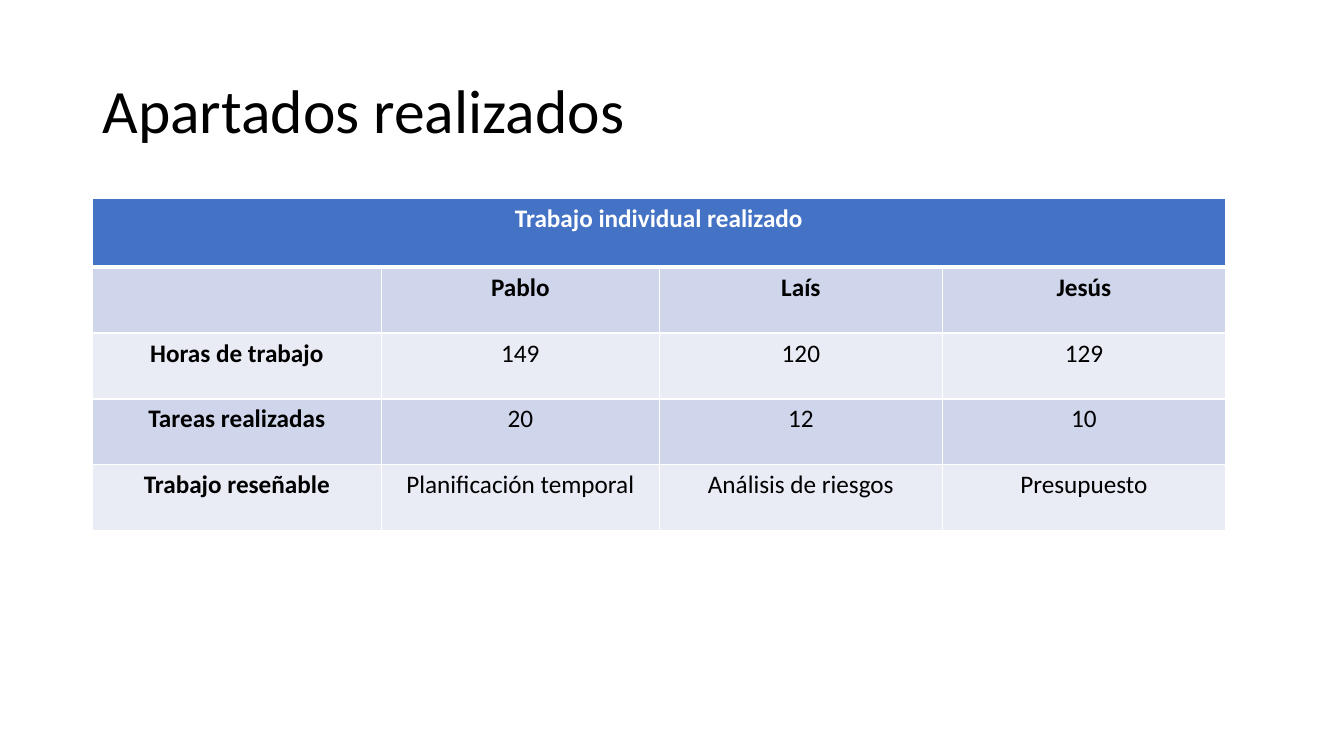
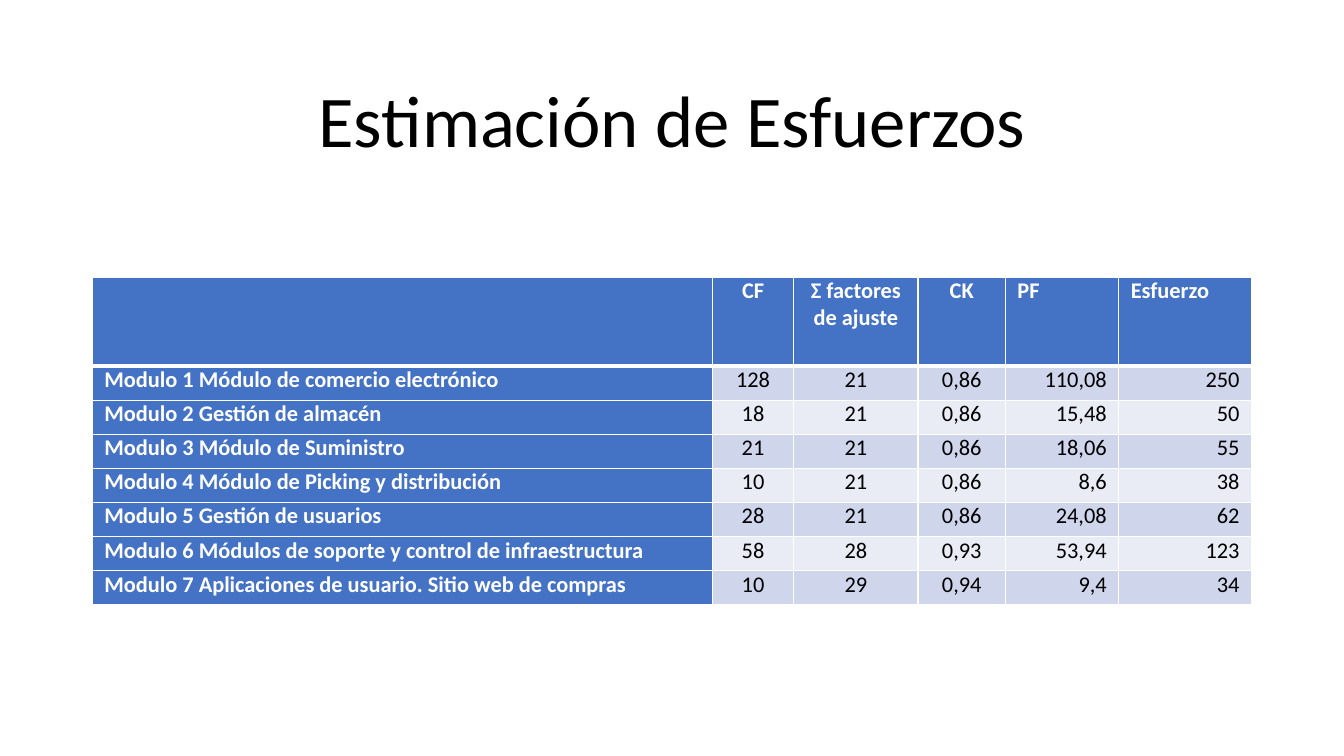
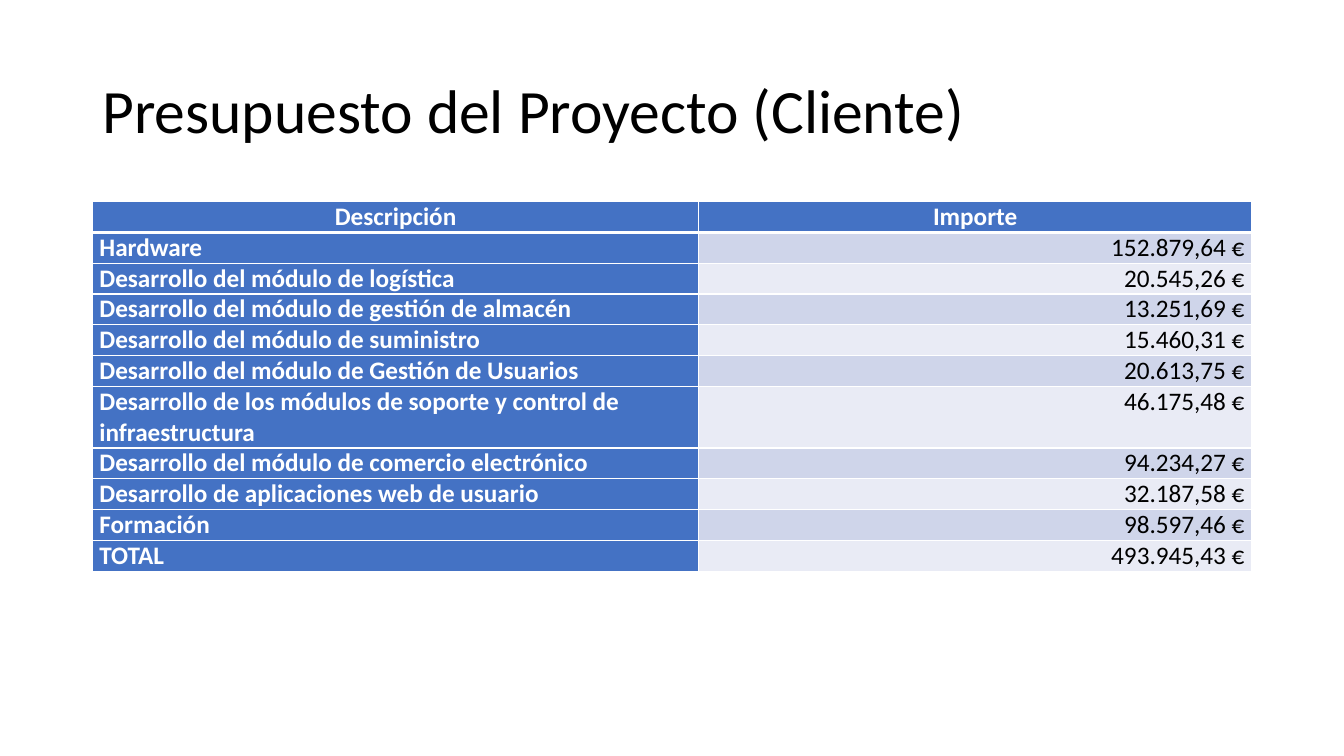
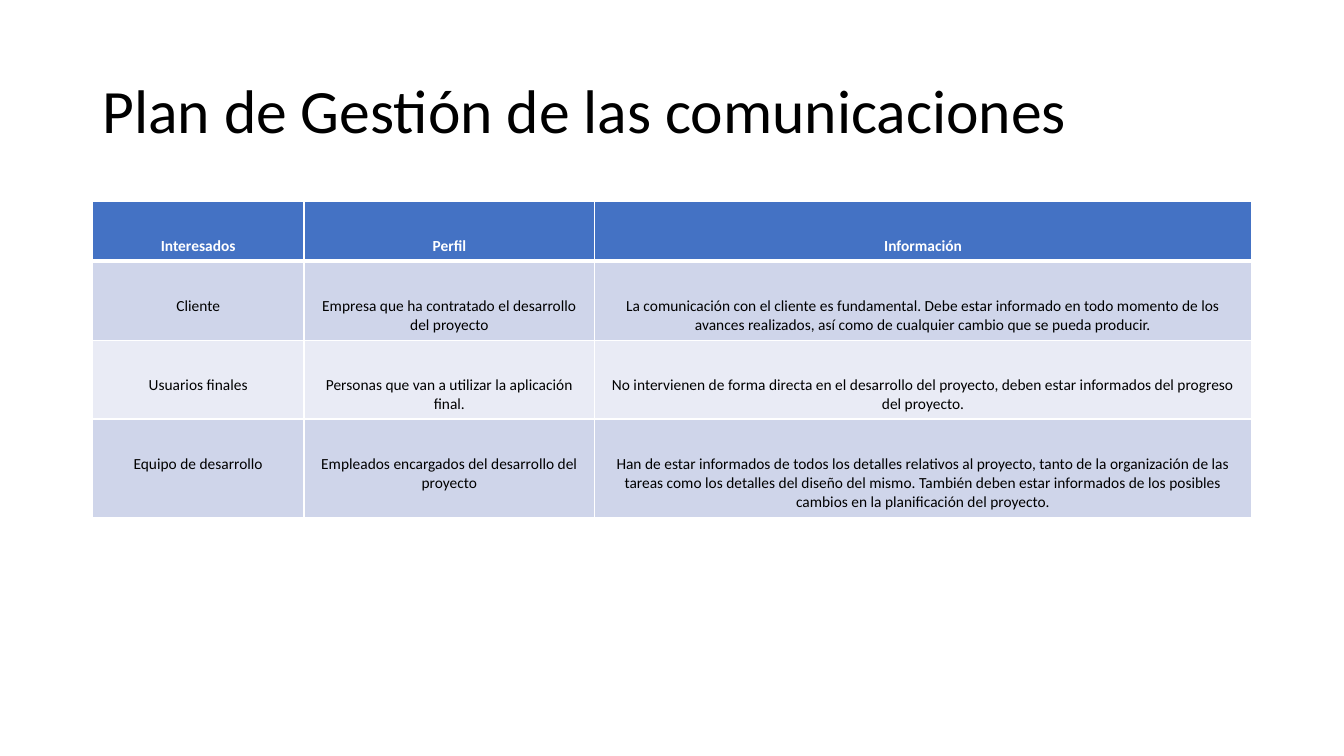
from dataclasses import dataclass

from lxml import etree
from pptx import Presentation
from pptx.dml.color import RGBColor
from pptx.enum import text
from pptx.oxml import ns
from pptx.util import Emu, Inches, Pt

# Shared style: a grid of 160 columns by 90 rows, twelve to the inch
COLS, ROWS = 160, 90
UNIT = Inches(1) / 12
LEFT, WIDE = 11, 138
FONT = "Calibri"
HUES = {"head": "4472C4", "odd": "CFD5EA", "even": "E9EBF5",
        "white": "FFFFFF", "black": "000000"}
ALIGN = {"l": text.PP_ALIGN.LEFT, "c": text.PP_ALIGN.CENTER,
         "r": text.PP_ALIGN.RIGHT}


@dataclass
class Title:
    words: str
    top: float = 4.8
    high: float = 17.4
    size: int = 44
    align: str = "l"


@dataclass
class Grid:
    top: float
    cols: list[float]
    rows: list[float]
    cells: list[list[str]]
    heads: str               # alignment of each header cell
    body: str                # alignment of each body column
    size: int
    side: str                # first column: "head", "bold" or "plain"
    pad: tuple[float, float, float] = (0.1, 0.05, 0.05)  # sides, top, bottom
    bold: int = 1            # rows in bold at the top
    span: bool = False       # header runs over all columns


def span(n: float) -> Emu:
    return Emu(round(n * UNIT))


def hue(name: str) -> RGBColor:
    return RGBColor.from_string(HUES[name])


def edge(cell, side: str, width: float) -> None:
    line = etree.SubElement(cell._tc.get_or_add_tcPr(), ns.qn(f"a:ln{side}"),
                            w=str(Pt(width)))
    fill = etree.SubElement(line, ns.qn("a:solidFill"))
    etree.SubElement(fill, ns.qn("a:srgbClr"), val=HUES["white"])


def style(run, size: int, color: str, bold: bool = False) -> None:
    font = run.font
    font.name, font.size, font.bold = FONT, Pt(size), bold
    font.color.rgb = hue(color)


def draw_title(slide, title: Title) -> None:
    box = slide.shapes.title
    box.left, box.top = span(LEFT), span(title.top)
    box.width, box.height = span(WIDE), span(title.high)
    frame = box.text_frame
    frame.text = title.words
    frame.vertical_anchor = text.MSO_ANCHOR.MIDDLE
    para = frame.paragraphs[0]
    para.alignment, para.line_spacing = ALIGN[title.align], 0.9
    style(para.runs[0], title.size, "black")


def draw_cell(cell, grid: Grid, row: int, col: int) -> None:
    # Borders come before the fill
    for side in "LRTB":
        thick = (row, side) in ((0, "B"), (1, "T"))
        edge(cell, side, 3 if thick else 1)
    blue = row == 0 or (col == 0 and grid.side == "head")
    cell.fill.solid()
    cell.fill.fore_color.rgb = hue(
        "head" if blue else "odd" if row % 2 else "even")

    side, top, bottom = grid.pad
    cell.margin_left = cell.margin_right = Inches(side)
    cell.margin_top, cell.margin_bottom = Inches(top), Inches(bottom)
    cell.text_frame.text = grid.cells[row][col]
    para = cell.text_frame.paragraphs[0]
    para.alignment = ALIGN[(grid.body if row else grid.heads)[col]]
    bold = row < grid.bold or (col == 0 and grid.side != "plain")
    for run in para.runs:
        style(run, grid.size, "white" if blue else "black", bold)


def draw_grid(slide, grid: Grid) -> None:
    table = slide.shapes.add_table(
        len(grid.rows), len(grid.cols), span(LEFT), span(grid.top),
        span(sum(grid.cols)), span(sum(grid.rows))).table
    for col, wide in zip(table.columns, grid.cols):
        col.width = span(wide)
    for row, high in zip(table.rows, grid.rows):
        row.height = span(high)
    for row in range(len(grid.rows)):
        for col in range(len(grid.cols)):
            draw_cell(table.cell(row, col), grid, row, col)
    if grid.span:
        table.cell(0, 0).merge(table.cell(0, len(grid.cols) - 1))


# Content of the slides
PAGES = [
    (Title("Apartados realizados"),
     Grid(23.6, [34.4, 33.1, 33.7, 33.7], [8.2] + [7.85] * 4, [
         ["Trabajo individual realizado", "", "", ""],
         ["", "Pablo", "Laís", "Jesús"],
         ["Horas de trabajo", "149", "120", "129"],
         ["Tareas realizadas", "20", "12", "10"],
         ["Trabajo reseñable", "Planificación temporal",
          "Análisis de riesgos", "Presupuesto"],
     ], "cccc", "cccc", 18, "bold", bold=2, span=True)),

    (Title("Estimación de Esfuerzos", 7.3, 14.9, 52, "c"),
     Grid(33, [73.8, 9.7, 14.8, 10.4, 13.5, 15.8], [10.6] + [4.06] * 7, [
         ["", "CF", "Σ factores de ajuste", "CK", "PF", "Esfuerzo"],
         ["Modulo 1 Módulo de comercio electrónico",
          "128", "21", "0,86", "110,08", "250"],
         ["Modulo 2 Gestión de almacén",
          "18", "21", "0,86", "15,48", "50"],
         ["Modulo 3 Módulo de Suministro",
          "21", "21", "0,86", "18,06", "55"],
         ["Modulo 4 Módulo de Picking y distribución",
          "10", "21", "0,86", "8,6", "38"],
         ["Modulo 5 Gestión de usuarios",
          "28", "21", "0,86", "24,08", "62"],
         ["Modulo 6 Módulos de soporte y control de infraestructura",
          "58", "28", "0,93", "53,94", "123"],
         ["Modulo 7 Aplicaciones de usuario. Sitio web de compras",
          "10", "29", "0,94", "9,4", "34"],
     ], "lcccll", "lcccrr", 16, "head", (0.12, 0, 0))),

    (Title("Presupuesto del Proyecto (Cliente)"),
     Grid(24, [72.2, 65.8], [3.6] * 6 + [7.3] + [3.6] * 4, [
         ["Descripción", "Importe"],
         ["Hardware", "152.879,64 €"],
         ["Desarrollo del módulo de logística", "20.545,26 €"],
         ["Desarrollo del módulo de gestión de almacén", "13.251,69 €"],
         ["Desarrollo del módulo de suministro", "15.460,31 €"],
         ["Desarrollo del módulo de Gestión de Usuarios", "20.613,75 €"],
         ["Desarrollo de los módulos de soporte y control de "
          "infraestructura", "46.175,48 €"],
         ["Desarrollo del módulo de comercio electrónico", "94.234,27 €"],
         ["Desarrollo de aplicaciones web de usuario", "32.187,58 €"],
         ["Formación", "98.597,46 €"],
         ["TOTAL", "493.945,43 €"],
     ], "cc", "lr", 18, "head", (0.07, 0, 0))),

    (Title("Plan de Gestión de las comunicaciones"),
     Grid(24, [25.2, 34.6, 78.2], [7.1, 9.4, 9.4, 11.7], [
         ["Interesados", "Perfil", "Información"],
         ["Cliente", "Empresa que ha contratado el desarrollo del proyecto",
          "La comunicación con el cliente es fundamental. Debe estar "
          "informado en todo momento de los avances realizados, así como "
          "de cualquier cambio que se pueda producir."],
         ["Usuarios finales",
          "Personas que van a utilizar la aplicación final.",
          "No intervienen de forma directa en el desarrollo del proyecto, "
          "deben estar informados del progreso del proyecto."],
         ["Equipo de desarrollo",
          "Empleados encargados del desarrollo del proyecto",
          "Han de estar informados de todos los detalles relativos al "
          "proyecto, tanto de la organización de las tareas como los "
          "detalles del diseño del mismo. También deben estar informados "
          "de los posibles cambios en la planificación del proyecto."],
     ], "ccc", "ccc", 11, "plain", (0.1, 0.35, 0.05))),
]


def main() -> None:
    deck = Presentation()
    deck.slide_width, deck.slide_height = span(COLS), span(ROWS)
    for title, grid in PAGES:
        slide = deck.slides.add_slide(deck.slide_layouts[5])
        draw_title(slide, title)
        draw_grid(slide, grid)
    deck.save("out.pptx")


if __name__ == "__main__":
    main()
